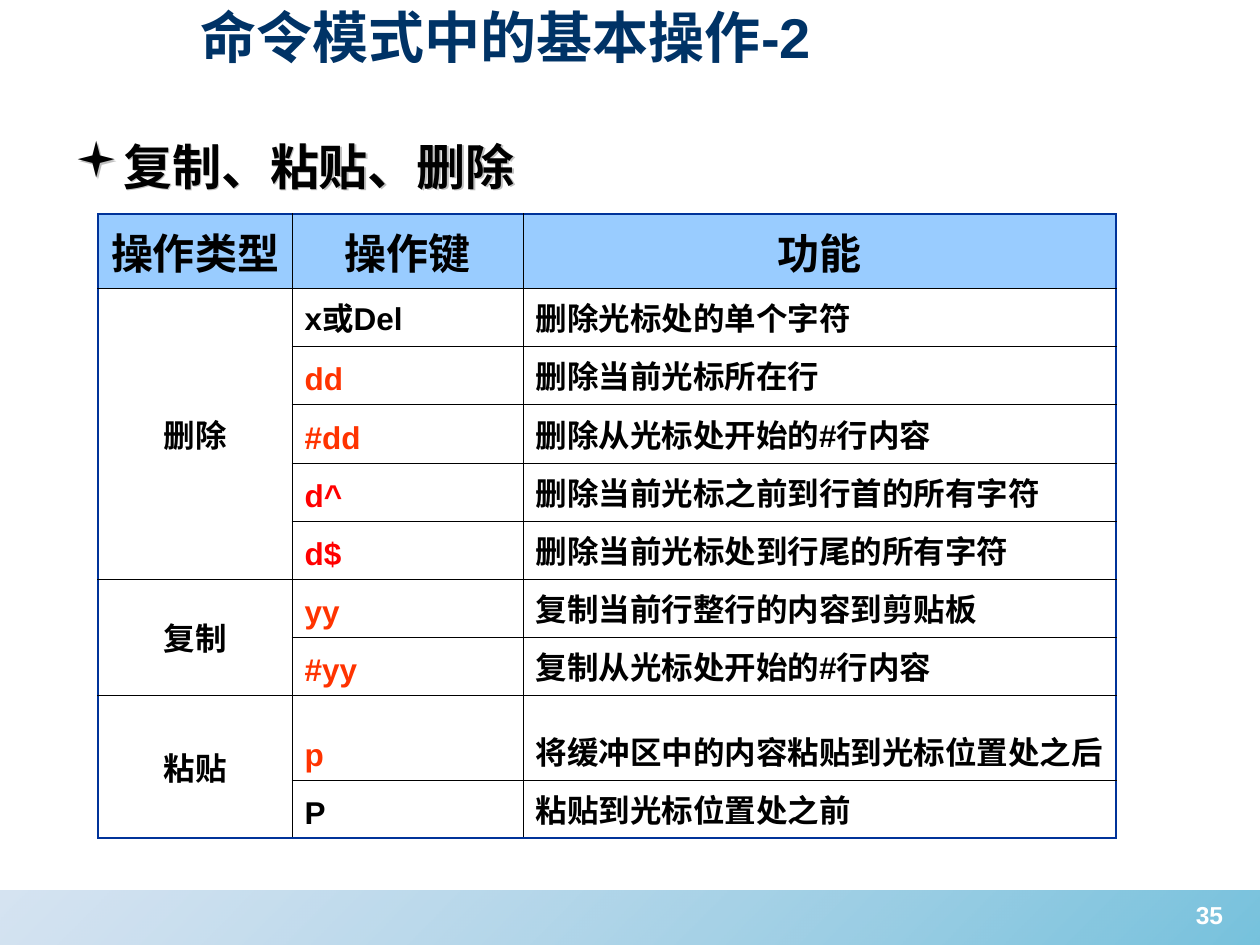
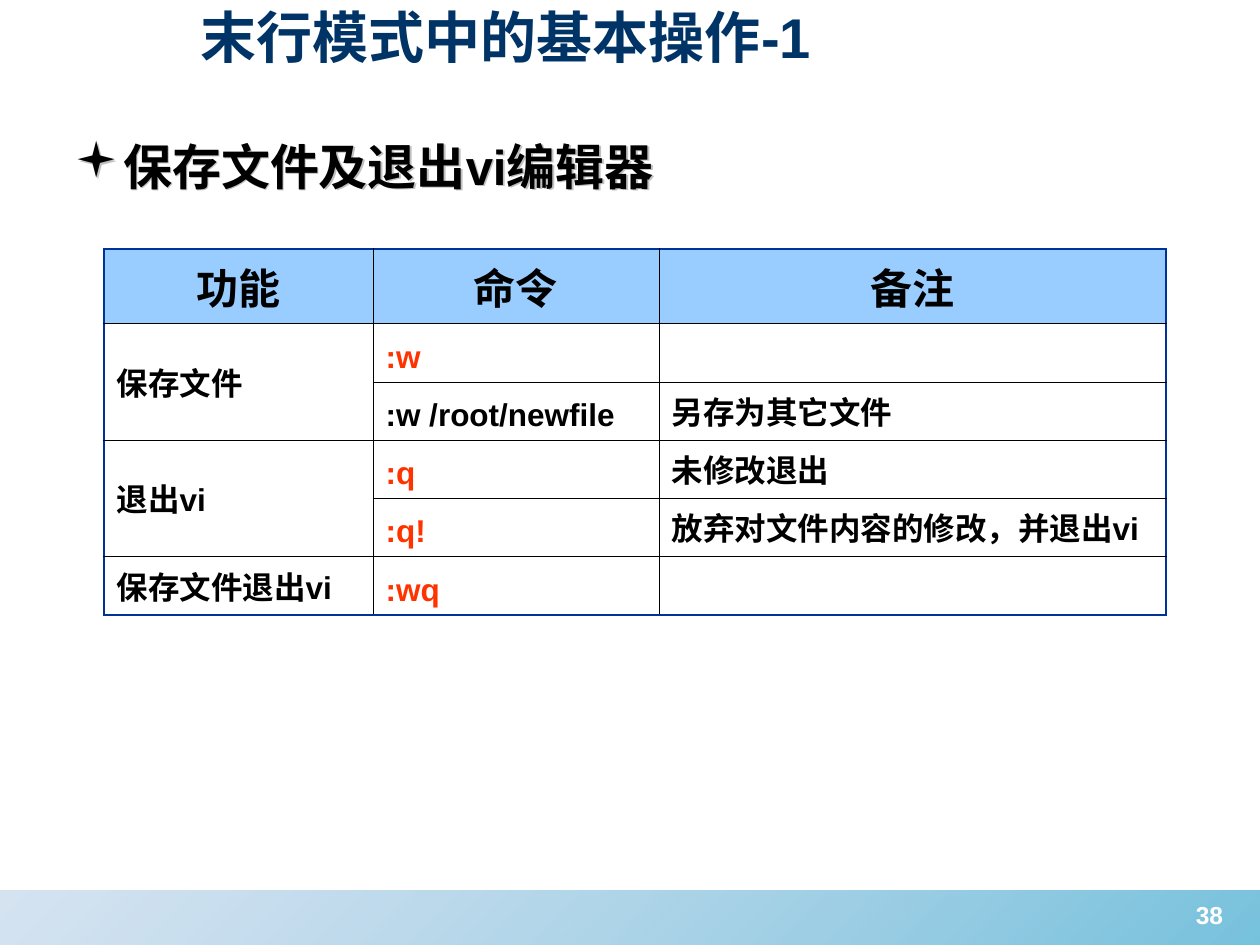
from lxml import etree
from pptx import Presentation
from pptx.dml.color import RGBColor
from pptx.enum.lang import MSO_LANGUAGE_ID
from pptx.enum.shapes import MSO_SHAPE
from pptx.enum.text import MSO_ANCHOR, PP_ALIGN
from pptx.oxml import parse_xml
from pptx.oxml.ns import nsdecls, qn
from pptx.util import Pt

RECT = MSO_SHAPE.RECTANGLE
MID, LOW, TOP = MSO_ANCHOR.MIDDLE, MSO_ANCHOR.BOTTOM, MSO_ANCHOR.TOP
LEFT, CENTER = PP_ALIGN.LEFT, PP_ALIGN.CENTER
ZH = MSO_LANGUAGE_ID.SIMPLIFIED_CHINESE
SCALE = 914400 / 126
WIDE, HIGH = 1260, 945
HEAD, ROW = 74, 58

HUES = {
    "ink": "000000", "title": "003366", "head": "99CCFF", "edge": "003399",
    "hot": "FF3300", "red": "FF0000", "white": "FFFFFF",
    "teal": "1C99C6", "mist": "88B0D8", "shade": "C0C0C0",
}
FONT = {"name": "Arial", "bold": True, "language_id": ZH}
FRAME = {"word_wrap": True}
PLAIN = {"first_row": False, "horz_banding": False}

DELETE = {
    "title": "命令模式中的基本操作-2",
    "topic": "复制、粘贴、删除",
    "page": "35",
    "box": (98, 214),
    "cols": (194, 231, 593),
    "tall": {3: 59, 8: 85},
    "align": CENTER,
    "rows": [
        ("操作类型", "操作键", "功能", "ink"),
        ("删除", "x或Del", "删除光标处的单个字符", "ink"),
        (None, "dd", "删除当前光标所在行", "hot"),
        (None, "#dd", "删除从光标处开始的#行内容", "hot"),
        (None, "d^", "删除当前光标之前到行首的所有字符", "red"),
        (None, "d$", "删除当前光标处到行尾的所有字符", "red"),
        ("复制", "yy", "复制当前行整行的内容到剪贴板", "hot"),
        (None, "#yy", "复制从光标处开始的#行内容", "hot"),
        ("粘贴", "p", "将缓冲区中的内容粘贴到光标位置处之后", "hot"),
        (None, "P", "粘贴到光标位置处之前", "ink"),
    ],
}
SAVE = {
    "title": "末行模式中的基本操作-1",
    "topic": "保存文件及退出vi编辑器",
    "page": "38",
    "box": (104, 249),
    "cols": (269, 286, 507),
    "tall": {1: 59, 5: 59},
    "align": LEFT,
    "rows": [
        ("功能", "命令", "备注", "ink"),
        ("保存文件", ":w", "", "hot"),
        (None, ":w /root/newfile", "另存为其它文件", "ink"),
        ("退出vi", ":q", "未修改退出", "hot"),
        (None, ":q!", "放弃对文件内容的修改，并退出vi", "hot"),
        ("保存文件退出vi", ":wq", "", "hot"),
    ],
}


def px(*sizes):
    """Turn px lengths into EMU."""
    return [round(size * SCALE) for size in sizes]


def put(thing, values):
    """Set each named value on a thing."""
    for name, value in values.items():
        setattr(thing, name, value)


def write(para, text, size, hue, align=LEFT):
    """Write one styled run into a paragraph."""
    para.alignment = align
    run = para.add_run()
    run.text = text
    put(run.font, {**FONT, "size": Pt(size)})
    run.font.color.rgb = RGBColor.from_string(HUES[hue])


def add_text(slide, box, text, size, hue, align=LEFT, anchor=TOP):
    """Add a wrapped text box with one paragraph."""
    shape = slide.shapes.add_textbox(*px(*box))
    put(shape.text_frame, {**FRAME, "vertical_anchor": anchor})
    write(shape.text_frame.paragraphs[0], text, size, hue, align)
    return shape


def add_band(slide, box):
    """Draw the shaded band at the foot of the slide."""
    band = slide.shapes.add_shape(RECT, *px(*box))
    band.shadow.inherit = False
    band.line.fill.background()
    stops = "".join(
        f'<a:gs pos="{pos}"><a:srgbClr val="{HUES[hue]}">'
        f'<a:alpha val="{alpha}"/></a:srgbClr></a:gs>'
        for pos, hue, alpha in ((0, "teal", 60000), (100000, "mist", 35000)))
    fill = parse_xml(
        f'<a:gradFill {nsdecls("a")} rotWithShape="1"><a:gsLst>{stops}</a:gsLst>'
        '<a:lin ang="13500000" scaled="1"/></a:gradFill>')
    band.element.spPr.find(qn("a:prstGeom")).addnext(fill)


def add_topic(slide, box, text):
    """Add the bulleted topic with its soft shadow."""
    shape = add_text(slide, box, text, 28, "ink")
    props = shape.text_frame.paragraphs[0]._p.get_or_add_pPr()
    for name, value in zip(("marL", "indent"), px(48, -48)):
        props.set(name, str(value))
    color = etree.SubElement(props, qn("a:buClr"))
    etree.SubElement(color, qn("a:srgbClr"), val=HUES["ink"])
    etree.SubElement(props, qn("a:buFont"), typeface="Wingdings")
    etree.SubElement(props, qn("a:buChar"), char="▪")
    shape.element.spPr.append(parse_xml(
        f'<a:effectLst {nsdecls("a")}><a:outerShdw dist="17961" dir="2700000">'
        f'<a:srgbClr val="{HUES["shade"]}"/></a:outerShdw></a:effectLst>'))


def rule_cell(cell, outer):
    """Draw the four borders of a cell, with outer sides in blue."""
    props = cell._tc.get_or_add_tcPr()
    for place, side in enumerate("LRTB"):
        hue, width = ("edge", 13716) if outer[side] else ("ink", 5715)
        props.insert(place, parse_xml(
            f'<a:ln{side} {nsdecls("a")} w="{width}"><a:solidFill>'
            f'<a:srgbClr val="{HUES[hue]}"/></a:solidFill></a:ln{side}>'))


def add_grid(slide, box, data):
    """Add the table of keys, merging each group in the first column."""
    rows, cols = data["rows"], data["cols"]
    highs = [data["tall"].get(i, ROW if i else HEAD) for i in range(len(rows))]
    size = px(*box, sum(cols), sum(highs))
    table = slide.shapes.add_table(len(rows), len(cols), *size).table
    put(table, PLAIN)
    for col, wide in zip(table.columns, px(*cols)):
        col.width = wide
    for row, high in zip(table.rows, px(*highs)):
        row.height = high
    starts = [i for i, row in enumerate(rows) if row[0]] + [len(rows)]
    for start, stop in zip(starts, starts[1:]):
        if stop - start > 1:
            table.cell(start, 0).merge(table.cell(stop - 1, 0))
    for r, (*texts, hue) in enumerate(rows):
        for c, text in enumerate(texts):
            cell = table.cell(r, c)
            cell.vertical_anchor = MID if cell.is_merge_origin else LOW
            if r == 0:
                cell.fill.solid()
                cell.fill.fore_color.rgb = RGBColor.from_string(HUES["head"])
            else:
                cell.fill.background()
            if text:
                align = CENTER if r == 0 else data["align"] if c == 0 else LEFT
                write(cell.text_frame.paragraphs[0], text, 18 if r else 24,
                      hue if c == 1 else "ink", align)
            rule_cell(cell, {"L": c == 0, "R": c == len(cols) - 1, "T": r == 0,
                             "B": r + cell.span_height == len(rows)})


def add_page(deck, data):
    """Build one slide from its data."""
    slide = deck.slides.add_slide(deck.slide_layouts[6])
    add_band(slide, (0, 891, WIDE, 54))
    add_text(slide, (188, -4, 1017, 81), data["title"], 32, "title", anchor=MID)
    add_topic(slide, (62, 130, 1134, 673), data["topic"])
    add_grid(slide, data["box"], data)
    add_text(slide, (1164, 894, 91, 66), data["page"], 14, "white", CENTER)


def main():
    """Build and save the deck."""
    deck = Presentation()
    deck.slide_width, deck.slide_height = px(WIDE, HIGH)
    for data in (DELETE, SAVE):
        add_page(deck, data)
    deck.save("out.pptx")


if __name__ == "__main__":
    main()
